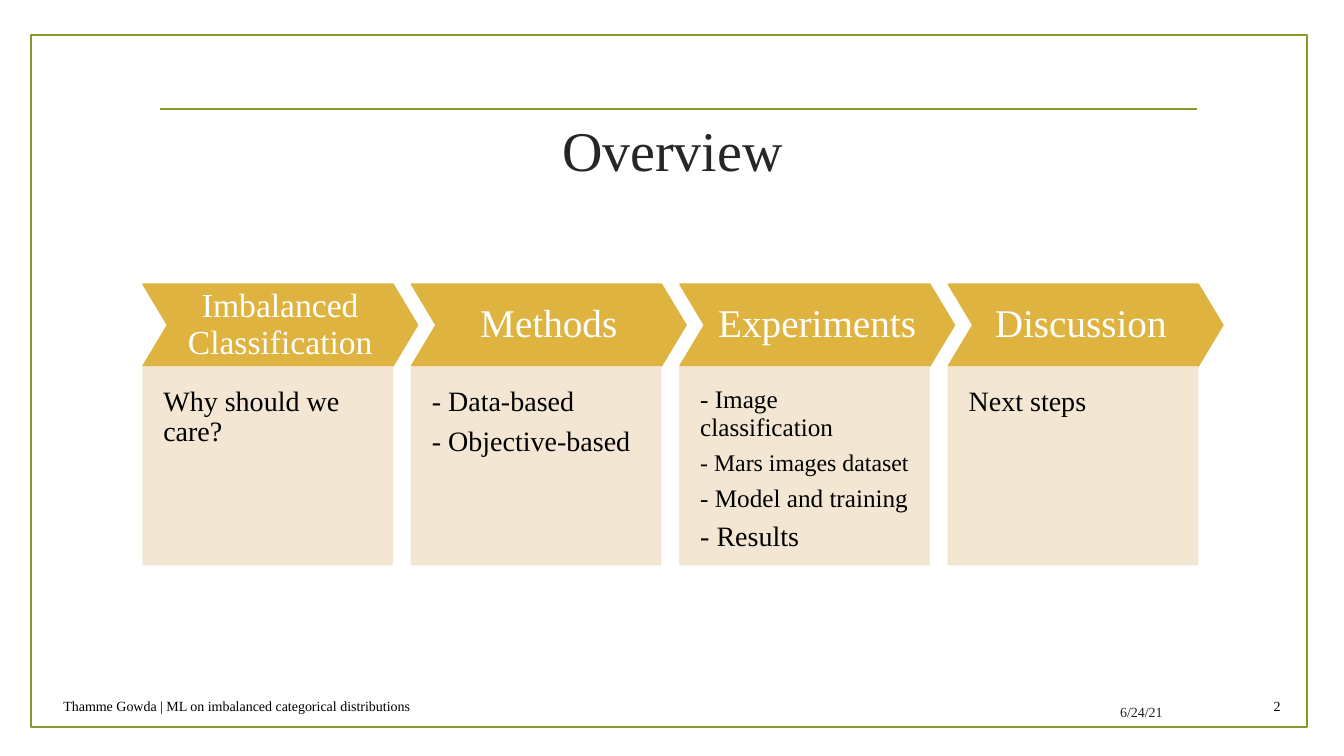
"""Build the overview slide: four chevron stages, each with its topics below."""
from dataclasses import dataclass

from lxml.etree import SubElement
from pptx import Presentation
from pptx.dml.color import RGBColor
from pptx.enum.shapes import MSO_CONNECTOR as Connector, MSO_SHAPE as Shape
from pptx.enum.text import MSO_ANCHOR as Anchor, PP_ALIGN as Align
from pptx.oxml.ns import qn
from pptx.util import Inches, Pt

TITLE = "Overview"
STAGES = [
    ("Imbalanced Classification", 24, [("Why should we care?", 20)]),
    ("Methods", 28, [("- Data-based", 20), ("- Objective-based", 20)]),
    ("Experiments", 28, [("- Image classification", 18), ("- Mars images dataset", 17),
                         ("- Model and training", 18), ("- Results", 20)]),
    ("Discussion ", 28, [("Next steps", 20)]),
]
FOOTERS = [
    ("Thamme Gowda | ML on imbalanced categorical distributions",
     (0.53, 6.85, 7.99, 0.31), Align.LEFT, "000000"),
    ("2", (12.21, 6.85, 0.59, 0.31), Align.RIGHT, "000000"),
    ("6/24/21", (9.88, 6.91, 1.75, 0.31), Align.RIGHT, "212121"),
]


@dataclass(frozen=True)
class Theme:
    font: str = "Times New Roman"
    green: str = "83992A"
    gold: str = "DEB340"
    sand: str = "F2E5CF"
    dark: str = "262626"
    black: str = "000000"
    white: str = "FFFFFF"
    title_size: int = 40
    footer_size: int = 10
    line_width: float = 1.25


THEME = Theme()
SLIDE_WIDTH, SLIDE_HEIGHT = 13.33, 7.5
FRAME = (0.31, 0.35, 12.65, 6.86)
RULE_LEFT, RULE_RIGHT, RULE_TOP = 1.59, 11.87, 1.08
GRID_LEFT, GRID_TOP, GRID_WIDTH = 1.42, 2.82, 10.65
PITCH = GRID_WIDTH / len(STAGES)
HEAD_WIDTH, HEAD_HEIGHT = 2.72, 0.81
BODY_TOP, BODY_WIDTH, BODY_HEIGHT = 3.64, 2.47, 1.96
TITLE_BOX = (GRID_LEFT, 1.07, 10.5, 0.82)
HEAD_INSETS = (0.1, 0.1, 0.1, 0.1)
BODY_INSETS = (0.2, 0.2, 0.2, 0.39)
TEXT_INSETS = (0.1, 0.05, 0.1, 0.05)


def paint(color_format, color, opacity=None):
    color_format.rgb = RGBColor.from_string(color)


def write(shape, lines, color, align, anchor, insets, leading=1.0, gap=0.0):
    frame = shape.text_frame
    frame.word_wrap = True
    frame.vertical_anchor = anchor
    frame.margin_left, frame.margin_top, frame.margin_right, frame.margin_bottom = map(Inches, insets)
    frame.text = "\n".join(text for text, size in lines)
    for para, (text, size) in zip(frame.paragraphs, lines):
        para.alignment = align
        para.line_spacing = leading
        para.space_after = Pt(round(size * gap, 1))
        for span in para.runs:
            span.font.name = THEME.font
            span.font.size = Pt(size)
            paint(span.font.color, color)


def add_panel(page, kind, area, color, opacity=100):
    panel = page.shapes.add_shape(kind, *map(Inches, area))
    panel.shadow.inherit = False
    panel.fill.solid()
    paint(panel.fill.fore_color, color)
    panel.line.width = Pt(THEME.line_width)
    paint(panel.line.color, color)
    if opacity < 100:
        for tint in panel.element.spPr.iter(qn("a:srgbClr")):
            SubElement(tint, qn("a:alpha")).set("val", str(opacity * 1000))
    return panel


def add_label(page, area, text, size, color, align):
    box = page.shapes.add_textbox(*map(Inches, area))
    write(box, [(text, size)], color, align, Anchor.MIDDLE, TEXT_INSETS)


def add_frame(page):
    border = add_panel(page, Shape.RECTANGLE, FRAME, THEME.green)
    border.fill.background()
    ends = (RULE_LEFT, RULE_TOP, RULE_RIGHT, RULE_TOP)
    rule = page.shapes.add_connector(Connector.STRAIGHT, *map(Inches, ends))
    rule.line.width = Pt(THEME.line_width)
    paint(rule.line.color, THEME.green)
    SubElement(rule.element.spPr, qn("a:effectLst"))


def add_stage(page, column, heading, size, topics):
    left = GRID_LEFT + column * PITCH
    head = add_panel(page, Shape.CHEVRON, (left, GRID_TOP, HEAD_WIDTH, HEAD_HEIGHT), THEME.gold)
    head.adjustments[0] = 0.3
    write(head, [(heading, size)], THEME.white, Align.CENTER, Anchor.MIDDLE, HEAD_INSETS, 0.9)
    body = add_panel(page, Shape.RECTANGLE, (left, BODY_TOP, BODY_WIDTH, BODY_HEIGHT), THEME.sand, 90)
    write(body, topics, THEME.black, Align.LEFT, Anchor.TOP, BODY_INSETS, 0.9, 0.37)


def main():
    deck = Presentation()
    deck.slide_width, deck.slide_height = Inches(SLIDE_WIDTH), Inches(SLIDE_HEIGHT)
    page = deck.slides.add_slide(deck.slide_layouts[6])
    add_frame(page)
    add_label(page, TITLE_BOX, TITLE, THEME.title_size, THEME.dark, Align.CENTER)
    for column, stage in enumerate(STAGES):
        add_stage(page, column, *stage)
    for text, area, align, color in FOOTERS:
        add_label(page, area, text, THEME.footer_size, color, align)
    deck.save("out.pptx")


if __name__ == "__main__":
    main()
